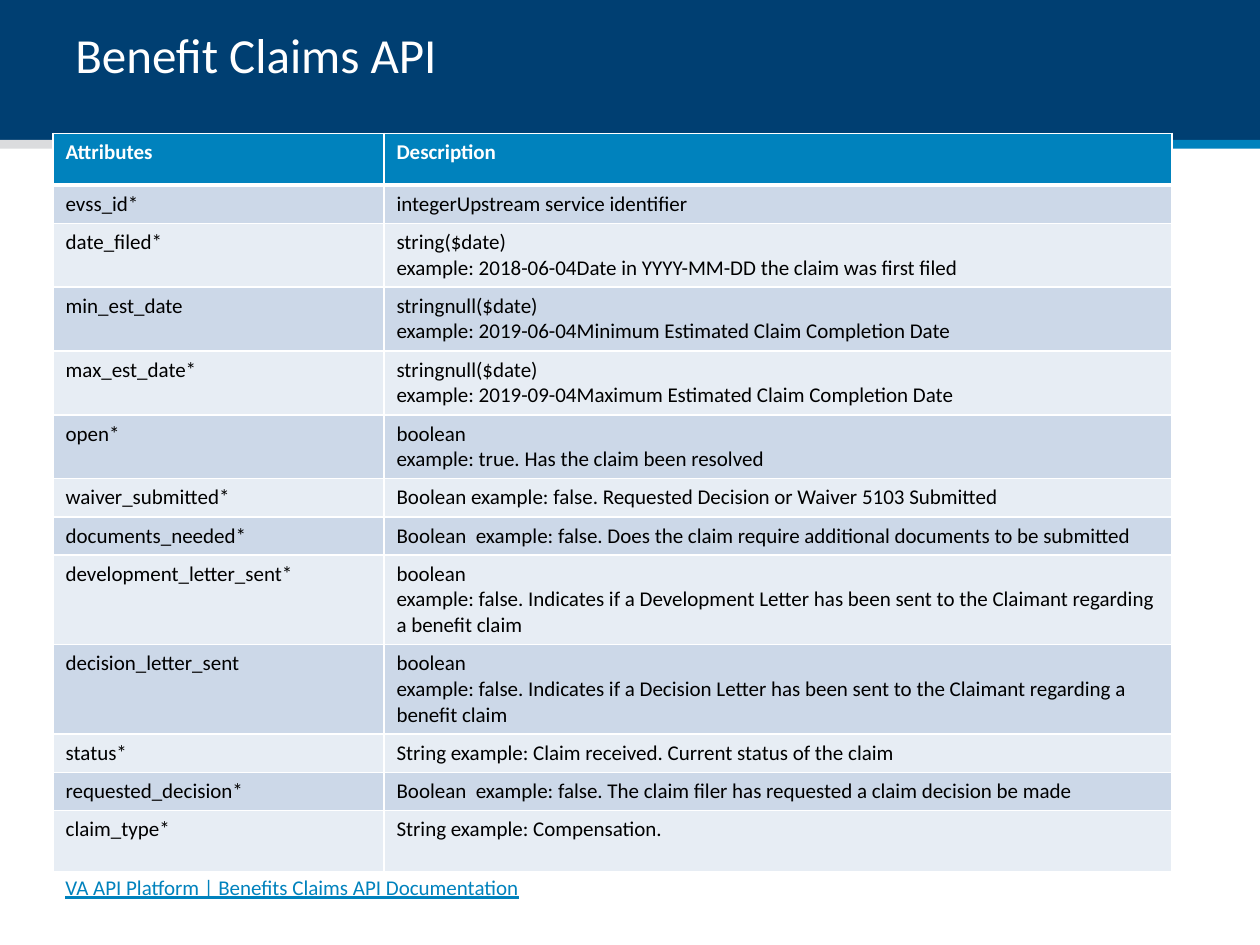
from lxml.etree import SubElement
from pptx import Presentation
from pptx.dml.color import RGBColor
from pptx.enum.shapes import MSO_SHAPE as Shape
from pptx.enum.text import MSO_ANCHOR as Anchor
from pptx.oxml.ns import qn
from pptx.util import Cm, Pt

NAVY = RGBColor(0x00, 0x3F, 0x72)
BLUE = RGBColor(0x00, 0x82, 0xBD)
GREY = RGBColor(0xDB, 0xDC, 0xDE)
WHITE = RGBColor(0xFF, 0xFF, 0xFF)
BLACK = RGBColor(0x00, 0x00, 0x00)
BAND_DARK = RGBColor(0xCC, 0xD8, 0xE8)
BAND_LIGHT = RGBColor(0xE7, 0xED, 0xF4)

ATTRIBUTES = [
    (1.04, "Attributes", "Description"),
    (0.74, "evss_id*", "integerUpstream service identifier"),
    (1.24, "date_filed*",
     "string($date)\vexample: 2018-06-04Date in YYYY-MM-DD the claim was first filed"),
    (1.24, "min_est_date",
     "stringnull($date)\vexample: 2019-06-04Minimum Estimated Claim Completion Date"),
    (1.24, "max_est_date*",
     "stringnull($date)\vexample: 2019-09-04Maximum Estimated Claim Completion Date"),
    (1.24, "open*", "boolean\vexample: true. Has the claim been resolved"),
    (0.64, "waiver_submitted*",
     "Boolean example: false. Requested Decision or Waiver 5103 Submitted"),
    (0.74, "documents_needed*",
     "Boolean  example: false. Does the claim require additional documents to be submitted"),
    (1.73, "development_letter_sent*",
     "boolean\vexample: false. Indicates if a Development Letter has been sent "
     "to the Claimant regarding a benefit claim"),
    (1.73, "decision_letter_sent",
     "boolean\vexample: false. Indicates if a Decision Letter has been sent "
     "to the Claimant regarding a benefit claim"),
    (0.69, "status*", "String example: Claim received. Current status of the claim"),
    (0.69, "requested_decision*",
     "Boolean  example: false. The claim filer has requested a claim decision be made"),
    (1.24, "claim_type*", "String example: Compensation."),
]


def format_text(frame, color, **values):
    for paragraph in frame.paragraphs:
        font = paragraph.font
        for run in paragraph.runs:
            font = run.font
            for name, value in {"name": "Calibri", **values}.items():
                setattr(font, name, value)
            font.color.rgb = color


def add_bar(slide, left, top, width, height, color):
    bar = slide.shapes.add_shape(
        Shape.RECTANGLE, Cm(left), Cm(top), Cm(width), Cm(height))
    bar.shadow.inherit = False
    bar.fill.solid()
    bar.fill.fore_color.rgb = color
    bar.line.fill.background()


def add_line_of_text(slide, left, top, width, height, text, color, **values):
    box = slide.shapes.add_textbox(Cm(left), Cm(top), Cm(width), Cm(height))
    frame = box.text_frame
    frame.word_wrap = True
    frame.vertical_anchor = Anchor.TOP
    frame.text = text
    format_text(frame, color, **values)


def add_banner(slide, left, top, width, height):
    stripe_top, stripe_height, third = top + height - 0.08, 0.18, width / 3
    add_bar(slide, left, top, width, height, NAVY)
    for position, color in ((0, GREY), (2, BLUE)):
        add_bar(slide, left + position * third, stripe_top, third, stripe_height, color)


def set_borders(cell, bottom_width):
    properties = cell._tc.get_or_add_tcPr()
    widths = {"lnL": 1, "lnR": 1, "lnT": 1, "lnB": bottom_width}
    for side, width in widths.items():
        edge = SubElement(properties, qn(f"a:{side}"), w=str(Pt(width)))
        fill = SubElement(edge, qn("a:solidFill"))
        SubElement(fill, qn("a:srgbClr"), val=str(WHITE))


def add_attribute_table(slide, left, top, width, height):
    table = slide.shapes.add_table(
        len(ATTRIBUTES), 2, Cm(left), Cm(top), Cm(width), Cm(height)).table
    name_width = 6.67
    table.columns[0].width = Cm(name_width)
    table.columns[1].width = Cm(width - name_width)
    for index, (row_height, *texts) in enumerate(ATTRIBUTES):
        header = index == 0
        band = BLUE if header else BAND_DARK if index % 2 else BAND_LIGHT
        table.rows[index].height = Cm(row_height)
        for cell, text in zip(table.rows[index].cells, texts):
            cell.text = text
            format_text(cell.text_frame, WHITE if header else BLACK,
                        size=Pt(12), bold=header)
            set_borders(cell, 3 if header else 1)
            cell.fill.solid()
            cell.fill.fore_color.rgb = band


def main():
    deck = Presentation()
    deck.slide_width, deck.slide_height = Cm(25.4), Cm(19.05)
    slide = deck.slides.add_slide(deck.slide_layouts[6])
    add_banner(slide, 0, 0, 25.4, 2.9)
    add_attribute_table(slide, 1.07, 2.69, 22.56, 14.2)
    add_line_of_text(slide, 1.27, 0.36, 22.86, 2.26, "Benefit Claims API",
                     WHITE, size=Pt(28))
    add_line_of_text(slide, 1.07, 17.5, 19.74, 0.76,
                     "VA API Platform | Benefits Claims API Documentation",
                     BLUE, size=Pt(12), underline=True)
    deck.save("out.pptx")


if __name__ == "__main__":
    main()
